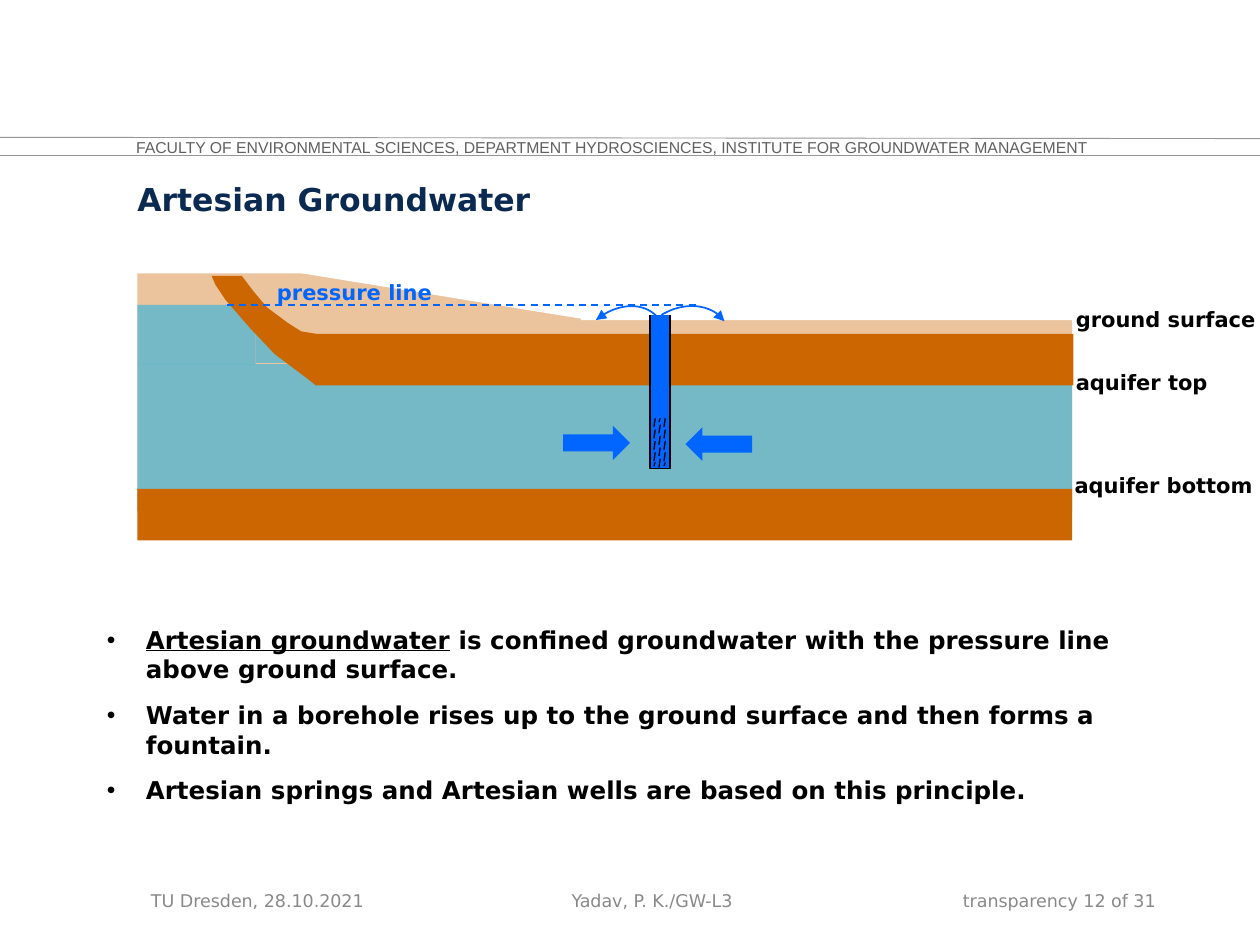
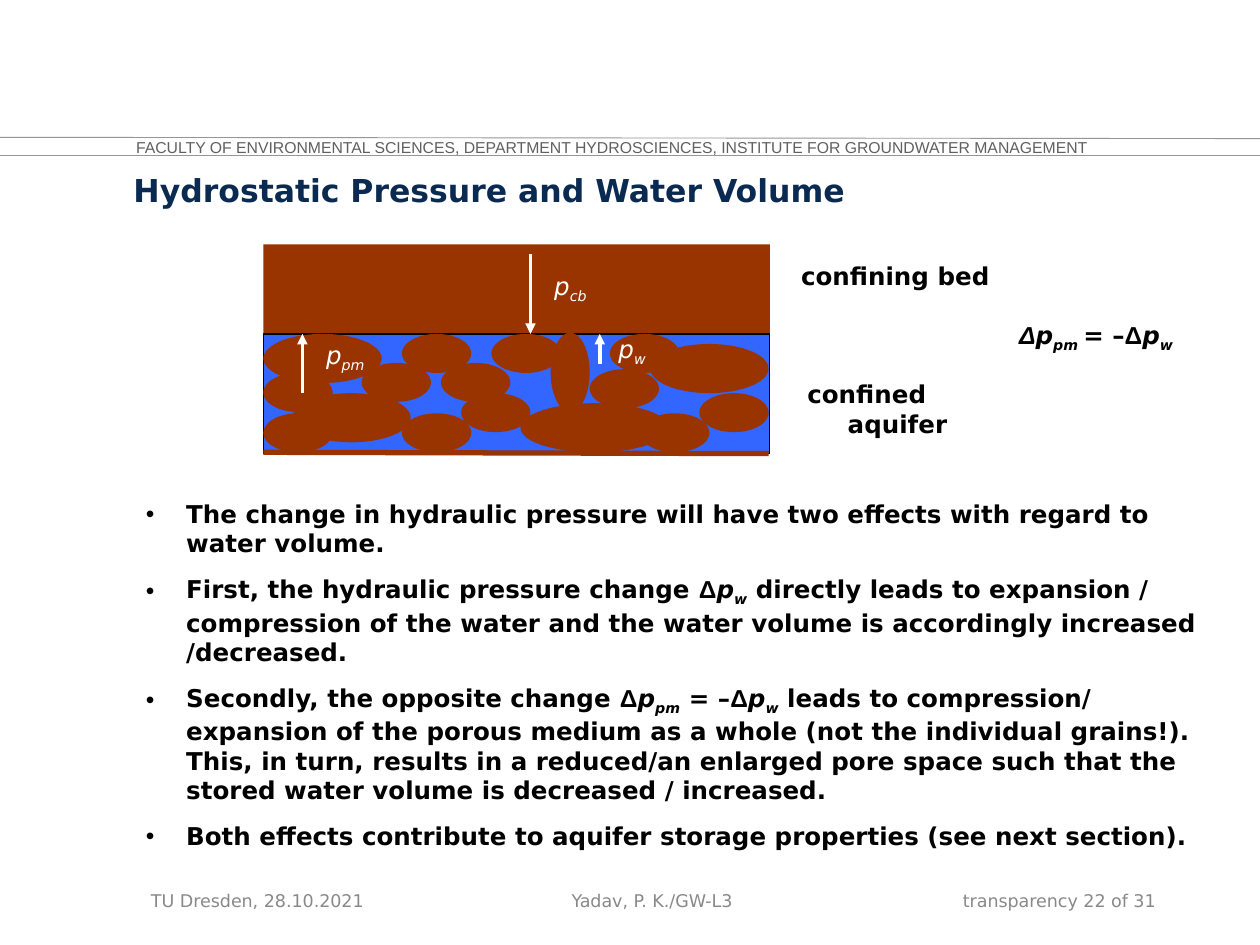
from lxml import etree
from pptx import Presentation
from pptx import util as u
from pptx.dml.color import RGBColor
from pptx.enum import dml, shapes, text
from pptx.oxml.ns import qn

C = {
    "rule": "969696", "header": "606060", "footer": "898989", "title": "0B2A51",
    "clay": "CC6600", "aquifer": "00B0F0", "blue": "0066FF", "water": "3366FF",
    "grain": "993300", "white": "FFFFFF", "black": "000000",
}
RECT = shapes.MSO_SHAPE.RECTANGLE
OVAL = shapes.MSO_SHAPE.OVAL
ALIGN = text.PP_ALIGN
STYLES = {
    "": {},
    "u": {"underline": True},
    "d": {"name": "Arial"},
    "di": {"name": "Arial", "italic": True},
    "i": {"italic": True},
    "sub": {"italic": True},
}


def draw(s, kind, geo, fill=None, line=None, width=1, alpha=None, rot=0, dash=False, arrow=False):
    if kind == "line":
        sp = s.shapes.add_connector(shapes.MSO_CONNECTOR.STRAIGHT, *map(u.Inches, geo))
        etree.SubElement(sp._element.spPr, qn("a:effectLst"))
    else:
        if kind == "free":
            pts = [(u.Inches(x), u.Inches(y)) for x, y in geo]
            fb = s.shapes.build_freeform(*pts[0])
            fb.add_line_segments(pts[1:], close=bool(fill))
            sp = fb.convert_to_shape()
        else:
            sp = s.shapes.add_shape(kind, *map(u.Inches, geo))
        sp.shadow.inherit = False
        sp.rotation = rot
        if fill:
            sp.fill.solid()
            sp.fill.fore_color.rgb = RGBColor.from_string(C[fill])
            if alpha:
                clr = sp._element.spPr.find(qn("a:solidFill"))[0]
                etree.SubElement(clr, qn("a:alpha"), val=str(alpha * 1000))
        else:
            sp.fill.background()
    if line:
        sp.line.color.rgb = RGBColor.from_string(C[line])
        sp.line.width = u.Pt(width)
        if dash:
            sp.line.dash_style = dml.MSO_LINE.DASH
        if arrow:
            etree.SubElement(sp._element.spPr.find(qn("a:ln")), qn("a:tailEnd"), type="triangle")
    else:
        sp.line.fill.background()


def write(s, box, paras, size, color="black", font="DejaVu Sans", bold=False, align=ALIGN.LEFT,
          left=0.1, top=0.05, middle=False, wrap=True, hang=0, bullet=False):
    tf = s.shapes.add_textbox(*map(u.Inches, box)).text_frame
    tf.word_wrap = wrap
    tf.margin_left, tf.margin_top = u.Inches(left), u.Inches(top)
    tf.vertical_anchor = text.MSO_ANCHOR.MIDDLE if middle else text.MSO_ANCHOR.TOP
    for i, runs in enumerate(paras):
        p = tf.paragraphs[0] if i == 0 else tf.add_paragraph()
        p.alignment = align
        if i:
            p.space_before = u.Pt(9.4)
        pPr = p._p.get_or_add_pPr()
        if hang:
            pPr.set("marL", str(u.Inches(hang)))
            pPr.set("indent", str(-u.Inches(hang)))
        if bullet:
            etree.SubElement(pPr, qn("a:buFont"), typeface="Arial")
            etree.SubElement(pPr, qn("a:buChar"), char="•")
        for words, style in runs:
            r = p.add_run()
            r.text = words
            r.font.color.rgb = RGBColor.from_string(C[color])
            fmt = {"name": font, "size": u.Pt(size), "bold": bold} | STYLES[style]
            for key, value in fmt.items():
                setattr(r.font, key, value)
            if style == "sub":
                r._r.get_or_add_rPr().set("baseline", "-25000")


prs = Presentation()
prs.slide_width, prs.slide_height = u.Inches(10), u.Inches(7.5)

for title, x, y, number in [
    ("Artesian Groundwater", 1.09, 1.38, 12),
    ("Hydrostatic Pressure and Water Volume", 1.06, 1.31, 22),
]:
    s = prs.slides.add_slide(prs.slide_layouts[6])
    for y1, y2 in [(1.23, 1.23), (1.09, 1.1)]:
        draw(s, "line", (0, y1, 10, y2), line="rule", width=0.5)
    header = "FACULTY OF ENVIRONMENTAL SCIENCES, DEPARTMENT HYDROSCIENCES, INSTITUTE FOR GROUNDWATER MANAGEMENT"
    write(s, (1.08, 1.11, 8.17, 0.17), [[(header, "")]], 9, "header", "Arial", left=0, top=0, middle=True)
    for words, fx, fw, align in [
        ("TU Dresden, 28.10.2021", 1.1, 2.56, ALIGN.LEFT),
        ("Yadav, P. K./GW-L3", 3.59, 3.17, ALIGN.CENTER),
        (f"transparency {number} of 31", 6.94, 2.33, ALIGN.RIGHT),
    ]:
        write(s, (fx, 6.95, fw, 0.4), [[(words, "")]], 10, "footer", align=align, middle=True)
    write(s, (x, y, 6, 0.42), [[(title, "")]], 18, "title", bold=True, left=0)

s = prs.slides[0]
for box, fill, alpha in [
    ((1.09, 2.17, 7.42, 1.88), "clay", 39),
    ((2.03, 2.65, 0.31, 0.23), "aquifer", 50),
    ((1.09, 2.89, 7.42, 1.17), "aquifer", 50),
    ((1.09, 3.88, 7.42, 0.41), "clay", None),
    ((2.5, 2.65, 6.02, 0.41), "clay", None),
    ((1.09, 2.42, 0.94, 0.47), "aquifer", 50),
]:
    draw(s, RECT, box, fill, alpha=alpha)
draw(s, shapes.MSO_SHAPE.RIGHT_ARROW, (4.47, 3.38, 0.53, 0.27), "blue")
draw(s, shapes.MSO_SHAPE.LEFT_ARROW, (5.44, 3.39, 0.53, 0.27), "blue")
clay_bend = [
    (2.51, 2.65), (2.39, 2.63), (2.28, 2.56), (2.12, 2.44), (2.01, 2.31), (1.92, 2.19), (1.68, 2.19),
    (1.71, 2.26), (1.79, 2.38), (1.99, 2.61), (2.18, 2.81), (2.42, 2.99), (2.51, 3.06),
]
draw(s, "free", clay_bend, "clay")
draw(s, shapes.MSO_SHAPE.ISOSCELES_TRIANGLE, (3.13, 0.99, 0.76, 2.34), "white", rot=270)
draw(s, RECT, (4.61, 2.15, 3.98, 0.39), "white")
draw(s, RECT, (5.16, 2.46, 0.16, 1.26), "blue")
draw(s, RECT, (5.16, 2.49, 0.16, 1.23), line="black")
draw(s, RECT, (5.08, 2.45, 0.31, 0.05), "white")

for x, start, short in [(5.2, 3.32, 3.67), (5.24, 3.37, 3.32), (5.28, 3.32, 3.67)]:
    for i in range(4):
        y = start + 0.09 * i
        draw(s, "line", (x, y, x - 0.01, y + 0.07), line="black", width=0.75)
    draw(s, "line", (x, short, x - 0.01, short + 0.03), line="black", width=0.75)

draw(s, "line", (1.8, 2.42, 5.55, 2.42), line="blue", dash=True)
for curve in [
    [(5.25, 2.5), (5.43, 2.39), (5.65, 2.41), (5.75, 2.55)],
    [(5.23, 2.53), (5.12, 2.39), (4.9, 2.4), (4.73, 2.54)],
]:
    jet = []
    for i in range(25):
        t = i / 24
        weights = [(1 - t) ** 3, 3 * t * (1 - t) ** 2, 3 * t * t * (1 - t), t ** 3]
        jet.append([sum(w * pt[axis] for w, pt in zip(weights, curve)) for axis in (0, 1)])
    draw(s, "free", jet, line="blue", arrow=True)

for words, x, y, color in [
    ("pressure line", 2.1, 2.17, "blue"),
    ("ground surface", 8.44, 2.38, "black"),
    ("aquifer top", 8.44, 2.88, "black"),
    ("aquifer bottom", 8.43, 3.7, "black"),
]:
    write(s, (x, y, 1.8, 0.31), [[(words, "")]], 12, color, bold=True)
write(s, (0.75, 4.91, 8.82, 1.55), [
    [("Artesian groundwater", "u"),
     (" is confined groundwater with the pressure line above ground surface.", "")],
    [("Water in a borehole rises up to the ground surface and then forms a fountain.", "")],
    [("Artesian springs and Artesian wells are based on this principle.", "")],
], 14, bold=True, hang=0.31, bullet=True)

s = prs.slides[1]
draw(s, RECT, (2.09, 1.94, 4.02, 0.71), "grain")
draw(s, RECT, (2.09, 2.65, 4.02, 0.95), "water", "black", 0.75)
draw(s, "line", (2.09, 3.59, 6.1, 3.6), line="grain", width=3)
for x, y in [
    (3.19, 2.65), (2.87, 2.88), (3.66, 3.12), (4.68, 2.93), (3.5, 2.88), (3.9, 2.65), (4.84, 2.65),
    (5.08, 3.28), (5.55, 3.12), (3.19, 3.28), (2.09, 2.96), (2.09, 3.28),
]:
    draw(s, OVAL, (x, y, 0.55, 0.31), "grain")
for box in [
    (5.16, 2.73, 0.94, 0.39), (2.32, 3.12, 0.94, 0.39), (2.09, 2.65, 0.94, 0.39),
    (4.13, 3.2, 1.18, 0.39), (4.37, 2.64, 0.31, 0.63),
]:
    draw(s, OVAL, box, "grain")
for ends in [(4.21, 2.02, 4.21, 2.65), (2.4, 3.12, 2.4, 2.65), (4.76, 2.89, 4.76, 2.65)]:
    draw(s, "line", ends, line="white", width=2, arrow=True)
for sub, x, y, w in [("w", 4.81, 2.6, 0.45), ("pm", 2.49, 2.65, 0.53), ("cb", 4.3, 2.1, 0.48)]:
    write(s, (x, y, w, 0.37), [[("p", "i"), (sub, "sub")]], 14, "white", wrap=False)

for words, x, y, w in [("confining bed", 6.26, 2.02, 1.73), ("confined aquifer", 6.31, 2.96, 1.8)]:
    write(s, (x, y, w, 0.34), [[(words, "")]], 14, bold=True, hang=0.32)
p_w = [("Δ", "d"), ("p", "i"), ("w", "sub")]
write(s, (7.99, 2.49, 1.63, 0.34), [
    [("Δ", "di"), ("p", "i"), ("pm ", "sub"), ("=\u00a0–", "")] + p_w,
], 14, bold=True)
write(s, (1.06, 3.91, 8.6, 2.96), [
    [("The change in hydraulic pressure will have two effects with regard to water volume.", "")],
    [("First, the hydraulic pressure change ", ""), *p_w,
     (" directly leads to expansion / compression of the water and the water volume is "
      "accordingly increased /decreased.", "")],
    [("Secondly, the opposite change ", ""), ("Δ", "d"), ("p", "i"), ("pm", "sub"), (" = –", ""), *p_w,
     (" leads to compression/ expansion of the porous medium as a whole (not the individual grains!). "
      "This, in turn, results in a reduced/an enlarged pore space such that the stored water volume "
      "is decreased / increased.", "")],
    [("Both effects contribute to aquifer storage properties (see next section).", "")],
], 14, bold=True, hang=0.32, bullet=True)

prs.save("out.pptx")
